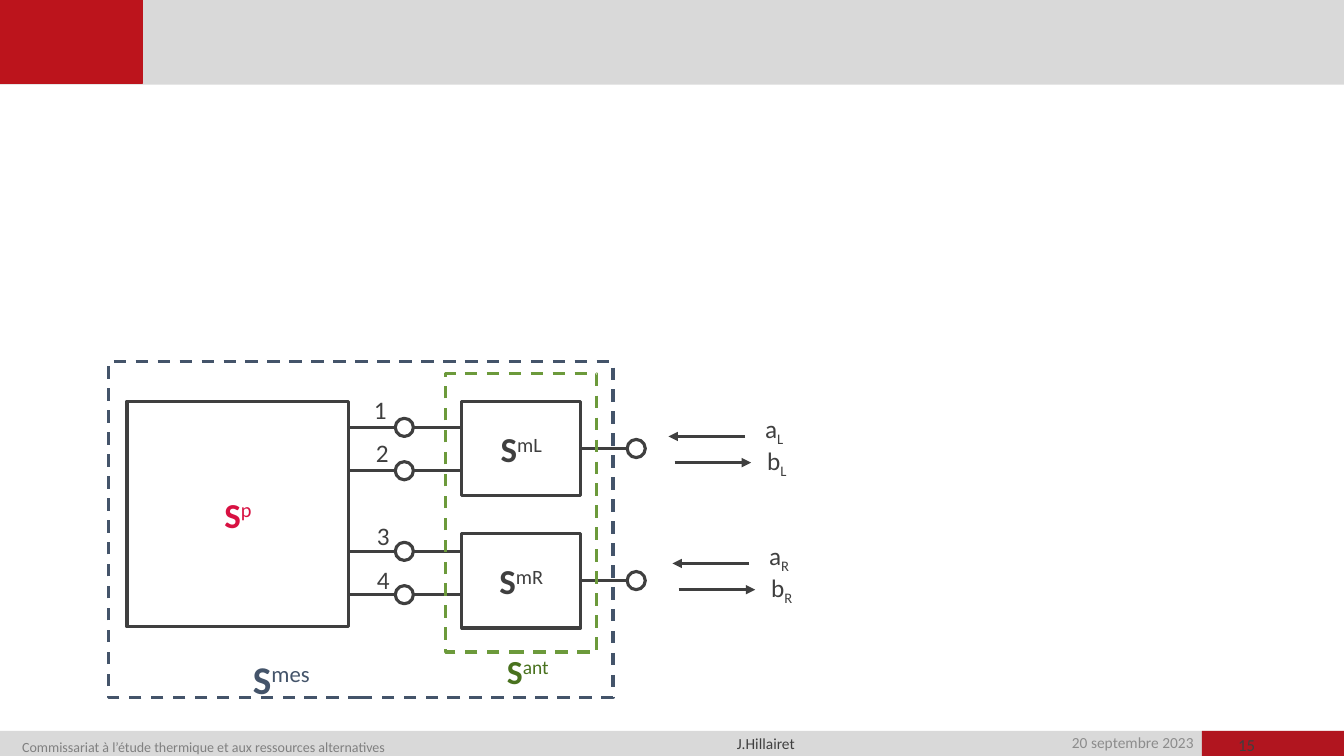
from dataclasses import dataclass

from lxml.etree import SubElement
from pptx import Presentation
from pptx.dml.color import RGBColor
from pptx.enum.dml import MSO_LINE
from pptx.enum.shapes import MSO_CONNECTOR, MSO_SHAPE
from pptx.enum.text import MSO_ANCHOR, MSO_AUTO_SIZE, PP_ALIGN
from pptx.oxml.ns import qn
from pptx.slide import Slide
from pptx.util import Inches, Pt

INK = "3F3F3F"
BAND = "D9D9D9"
NAVY = "44546A"


def color(hex_code):
    return RGBColor.from_string(hex_code)


@dataclass
class Diagram:
    slide: Slide
    font: str = "Calibri"
    stroke: float = 2.25
    node: float = 0.18

    def shape(self, at, kind=MSO_SHAPE.RECTANGLE, fill=None, line=None, width=None, dashed=False):
        shape = self.slide.shapes.add_shape(kind, *map(Inches, at))
        shape.shadow.inherit = False
        if fill:
            shape.fill.solid()
            shape.fill.fore_color.rgb = color(fill)
        else:
            shape.fill.background()
        if line:
            shape.line.color.rgb = color(line)
            shape.line.width = Pt(width or self.stroke)
            if dashed:
                shape.line.dash_style = MSO_LINE.DASH
        else:
            shape.line.fill.background()
        return shape

    def compose(self, frame, main, size, ink, script="", baseline=0, bold=False):
        paragraph = frame.paragraphs[0]
        paragraph.font.name = self.font
        paragraph.font.size = Pt(size)
        paragraph.font.color.rgb = color(ink)
        symbol = paragraph.add_run()
        symbol.text = main
        symbol.font.bold = bold
        if script:
            index = paragraph.add_run()
            index.text = script
            index.font.bold = False
            index._r.get_or_add_rPr().set("baseline", str(baseline * 1000))
        return paragraph

    def label(self, at, main, size, ink=INK, wrap=False, footer=False, **style):
        frame = self.slide.shapes.add_textbox(*map(Inches, at)).text_frame
        frame.word_wrap = wrap
        frame.auto_size = MSO_AUTO_SIZE.SHAPE_TO_FIT_TEXT
        if footer:
            frame.margin_left = frame.margin_right = Inches(0.08)
            frame.margin_top = frame.margin_bottom = 0
        return self.compose(frame, main, size, ink, **style)

    def matrix(self, at, script, ink=INK):
        frame = self.shape(at, line=INK).text_frame
        frame.vertical_anchor = MSO_ANCHOR.MIDDLE
        paragraph = self.compose(frame, "S", 25, ink, script, 30, True)
        paragraph.alignment = PP_ALIGN.CENTER

    def port(self, left, y):
        at = (left, y - self.node / 2, self.node, self.node)
        self.shape(at, MSO_SHAPE.OVAL, fill="FFFFFF", line=INK)

    def line(self, start, end, y, arrow=False):
        ends = map(Inches, (start, y, end, y))
        connector = self.slide.shapes.add_connector(MSO_CONNECTOR.STRAIGHT, *ends)
        connector.line.color.rgb = color(INK)
        connector.line.width = Pt(self.stroke)
        properties = connector._element.spPr
        if arrow:
            SubElement(properties.get_or_add_ln(), qn("a:tailEnd"), type="triangle")
        SubElement(properties, qn("a:effectLst"))


def add_frame(diagram):
    diagram.shape((0, 7.25, 13.33, 0.26), fill=BAND)
    diagram.shape((0, -0.03, 13.33, 0.87), fill=BAND)
    diagram.shape((11.92, 7.25, 1.42, 0.26), fill="B1151F")
    diagram.shape((-0.01, -0.03, 1.42, 0.86), fill="BC141C", line="BC141C", width=1)
    date = diagram.label((9.61, 7.29, 2.31, 0.17), "20 septembre 2023", 11, "8C8C8C", True, True)
    date.alignment = PP_ALIGN.RIGHT
    date.line_spacing = 0.9
    date.space_before = Pt(7.5)
    institute = diagram.label(
        (0.14, 7.26, 6.03, 0.21),
        "Commissariat à l’étude thermique et aux ressources alternatives",
        10, "808080", True, True)
    institute.line_spacing = 1.4
    diagram.label((7.23, 7.28, 0.74, 0.19), "J.Hillairet", 11, footer=True)
    diagram.label((12.2, 7.29, 0.92, 0.2), "15", 12, wrap=True, footer=True)


def add_network(diagram):
    diagram.matrix((1.26, 3.98, 2.2, 2.24), "p", "D81142")
    for script, top in (("mL", 3.98), ("mR", 5.29)):
        middle = top + 0.47
        diagram.matrix((4.58, top, 1.18, 0.94), script)
        diagram.line(5.76, 6.22, middle)
        diagram.port(6.22, middle)
    for y in (4.24, 4.67, 5.47, 5.9):
        diagram.line(3.45, 3.92, y)
        diagram.line(4.1, 4.56, y)
        diagram.port(3.92, y)
    diagram.shape((4.42, 3.71, 1.5, 2.76), line="6C9A3B", dashed=True)
    diagram.label((4.93, 6.41, 1.22, 0.5), "S", 24, "49721E", True,
                  script="ant", baseline=30, bold=True)
    diagram.shape((1.08, 3.59, 5, 3.33), line=NAVY, dashed=True)
    diagram.label((2.41, 6.45, 1.69, 0.57), "S", 28, NAVY, True,
                  script="mes", baseline=30, bold=True)


def add_waves(diagram):
    for side, left, y, width in (("L", 6.63, 4.33, 0.39), ("R", 6.67, 5.59, 0.41)):
        diagram.line(left + 0.76, left, y, arrow=True)
        diagram.line(left + 0.06, left + 0.82, y + 0.26, arrow=True)
        diagram.label((left + 0.86, y - 0.28, width, 0.4), "a", 18, script=side, baseline=-25)
        diagram.label((left + 0.88, y + 0.04, width + 0.02, 0.4), "b", 18,
                      script=side, baseline=-25)


def add_port_numbers(diagram):
    places = ((3.61, 3.86), (3.63, 4.29), (3.64, 5.11), (3.64, 5.55))
    for number, (left, top) in enumerate(places, 1):
        diagram.label((left, top, 0.33, 0.4), str(number), 18)


def main():
    deck = Presentation()
    deck.slide_width = Inches(13.33)
    deck.slide_height = Inches(7.5)
    diagram = Diagram(deck.slides.add_slide(deck.slide_layouts[6]))
    add_frame(diagram)
    add_network(diagram)
    add_waves(diagram)
    add_port_numbers(diagram)
    deck.save("out.pptx")


if __name__ == "__main__":
    main()
